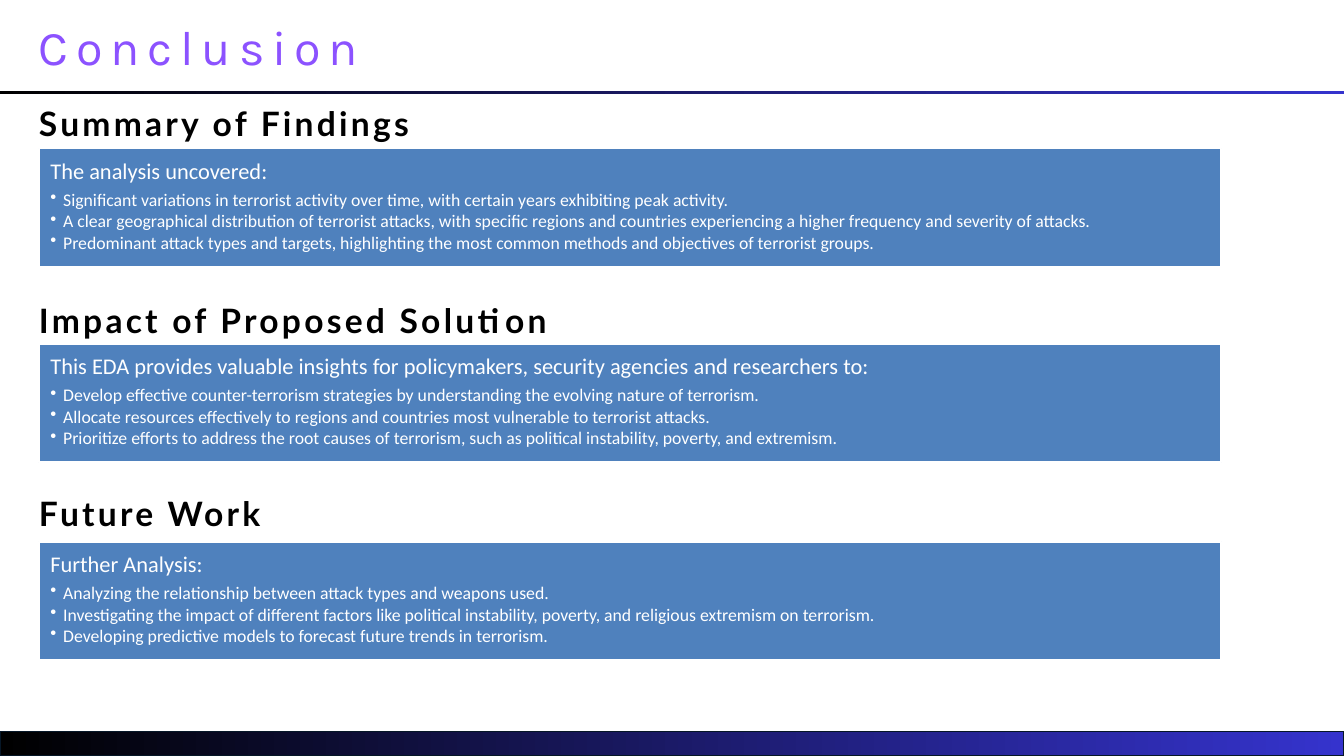
from pptx import Presentation
from pptx.dml.color import RGBColor
from pptx.enum.shapes import MSO_SHAPE
from pptx.enum.text import MSO_ANCHOR, PP_ALIGN
from pptx.oxml.ns import qn
from pptx.util import Inches, Pt
from lxml import etree

COLORS = {
    "title": "8C52FF", "head": "000000", "panel": "4F81BD", "text": "FFFFFF",
    "edge": "FFFFFF", "rim": "061727", "dark": "000000", "blue": "3533CD",
}
WIDE, HIGH = 20, 11.25
LEFT = 0.58

# Heading, its top, panel top, lead line, bullets
PARTS = [
    ("Summary of Findings", 1.53, 2.21, "The analysis uncovered:", [
        "Significant variations in terrorist activity over time, with certain years exhibiting peak activity.",
        "A clear geographical distribution of terrorist attacks, with specific regions and countries "
        "experiencing a higher frequency and severity of attacks.",
        "Predominant attack types and targets, highlighting the most common methods and objectives "
        "of terrorist groups.",
    ]),
    ("Impact of Proposed Solution", 4.46, 5.12,
     "This EDA provides valuable insights for policymakers, security agencies and researchers to:", [
         "Develop effective counter-terrorism strategies by understanding the evolving nature of terrorism.",
         "Allocate resources effectively to regions and countries most vulnerable to terrorist attacks.",
         "Prioritize efforts to address the root causes of terrorism, such as political instability, "
         "poverty, and extremism.",
     ]),
    ("Future Work", 7.34, 8.06, "Further Analysis:", [
        "Analyzing the relationship between attack types and weapons used.",
        "Investigating the impact of different factors like political instability, poverty, "
        "and religious extremism on terrorism.",
        "Developing predictive models to forecast future trends in terrorism.",
    ]),
]


def paint(name):
    return RGBColor.from_string(COLORS[name])


def add_run(para, text, size, face, color, bold=False, gap=0):
    run = para.add_run()
    run.text = text
    font = run.font
    font.size, font.name, font.bold = Pt(size), face, bold
    font.color.rgb = paint(color)
    if gap:
        run._r.get_or_add_rPr().set("spc", str(round(gap * 100)))


def add_rect(slide, box):
    rect = slide.shapes.add_shape(MSO_SHAPE.RECTANGLE, *map(Inches, box))
    rect.shadow.inherit = False
    return rect


def set_inset(frame, inset):
    frame.margin_left = frame.margin_right = Inches(inset)
    frame.margin_top = frame.margin_bottom = Inches(inset)
    frame.word_wrap = True
    frame.vertical_anchor = MSO_ANCHOR.TOP


def add_band(slide, box, rim=None):
    """Bar that fades from dark to blue, left to right."""
    band = add_rect(slide, box)
    band.fill.gradient()
    band.fill.gradient_angle = 0
    for stop, name in zip(band.fill.gradient_stops, ("dark", "blue")):
        stop.color.rgb = paint(name)
    if rim:
        band.line.color.rgb = paint(rim)
        band.line.width = Pt(1.5)
    else:
        band.line.fill.background()


def add_label(slide, box, text, size, face, color, bold, gap):
    """Spaced-out heading line."""
    frame = slide.shapes.add_textbox(*map(Inches, box)).text_frame
    set_inset(frame, 0)
    para = frame.paragraphs[0]
    para.line_spacing = Pt(size * 1.2)
    add_run(para, text, size, face, color, bold, gap)


def add_bullet(para):
    props = para._p.get_or_add_pPr()
    props.set("marL", str(Inches(0.19)))
    props.set("indent", str(-Inches(0.19)))
    etree.SubElement(props, qn("a:buChar")).set("char", "•")
    para.level = 1


def add_panel(slide, box, lead, points):
    """Filled box with a lead line and bullets."""
    panel = add_rect(slide, box)
    panel.fill.solid()
    panel.fill.fore_color.rgb = paint("panel")
    panel.line.color.rgb = paint("edge")
    panel.line.width = Pt(2)
    frame = panel.text_frame
    set_inset(frame, 0.17)
    for i, text in enumerate([lead, *points]):
        para = frame.add_paragraph() if i else frame.paragraphs[0]
        if i:
            add_bullet(para)
        para.alignment = PP_ALIGN.LEFT
        para.line_spacing = 0.9
        para.space_after = Pt(2.5 if i else 7.5)
        add_run(para, text, 19 if i else 24, "Calibri", "text")


def main():
    deck = Presentation()
    deck.slide_width, deck.slide_height = Inches(WIDE), Inches(HIGH)
    slide = deck.slides.add_slide(deck.slide_layouts[6])

    # Footer bar and title rule
    add_band(slide, (0, 10.89, WIDE, 0.36), "rim")
    add_band(slide, (0, 1.35, WIDE, 0.05))

    # Title
    add_label(slide, (LEFT, 0.26, 12.09, 0.86), "Conclusion", 52, "Karla", "title", False, 8.4)

    # Sections
    for head, top, low, lead, points in PARTS:
        add_label(slide, (LEFT, top, 8, 0.6), head, 36, "Lato", "head", True, 3.5)
        add_panel(slide, (LEFT, low, 17.59, 1.76), lead, points)

    deck.save("out.pptx")


if __name__ == "__main__":
    main()
